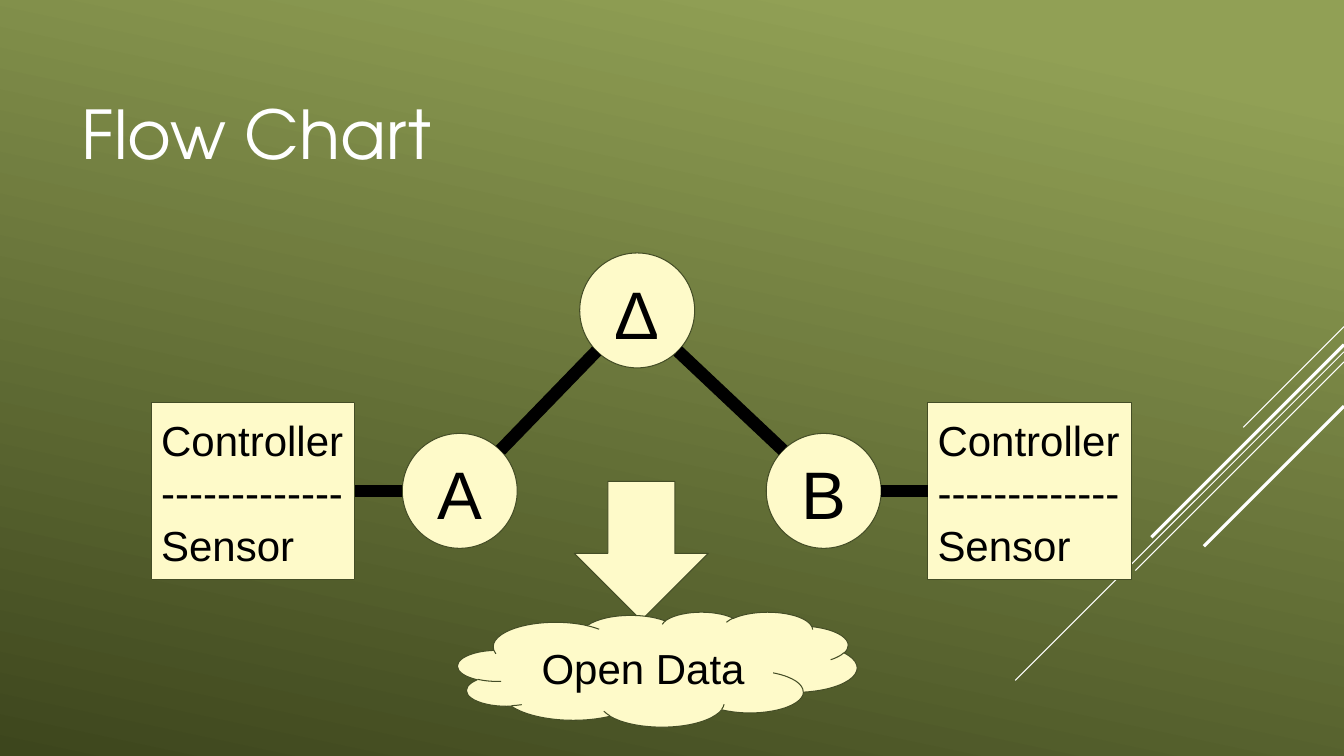
from dataclasses import dataclass
from math import sqrt

from lxml.etree import SubElement
from pptx import Presentation
from pptx.dml.color import RGBColor
from pptx.enum.shapes import MSO_CONNECTOR, MSO_SHAPE
from pptx.enum.text import MSO_ANCHOR, PP_ALIGN
from pptx.oxml.ns import qn
from pptx.util import Pt

PX = 9144  # 100 px to the inch
TOP, LEFT, BOTTOM, RIGHT = range(4)


@dataclass(frozen=True)
class Theme:
    light: str = "91A055"
    dark: str = "3D461D"
    white: str = "FFFFFF"
    black: str = "000000"
    cream: str = "FEFAC9"
    outline: str = "444D26"
    title_font: str = "TeX Gyre Adventor"
    body_font: str = "Arial"
    large: int = 48
    medium: int = 30
    hairline: float = 0.75
    stripe: float = 2.25
    link: float = 9


T = Theme()


def px(*values):
    return [round(v * PX) for v in values]


def rgb(color):
    return RGBColor.from_string(color)


def write(tf, text, size=T.medium, font=T.body_font, color=T.black,
          align=PP_ALIGN.CENTER, spacing=1.05):
    tf.word_wrap = True
    tf.vertical_anchor = MSO_ANCHOR.MIDDLE
    tf.margin_left = tf.margin_right = tf.margin_top = tf.margin_bottom = 10 * PX
    for i, line in enumerate(text.split("\n")):
        p = tf.paragraphs[0] if i == 0 else tf.add_paragraph()
        p.alignment = align
        p.line_spacing = spacing
        r = p.add_run()
        r.text = line
        r.font.size = Pt(size)
        r.font.name = font
        r.font.color.rgb = rgb(color)


def add_line(s, start, end, color, width):
    line = s.shapes.add_connector(MSO_CONNECTOR.STRAIGHT, *px(*start, *end))
    line.line.color.rgb = rgb(color)
    line.line.width = Pt(width)
    SubElement(line._element.spPr, qn("a:effectLst"))
    return line


def add_box(s, kind, box, text="", **fmt):
    sp = s.shapes.add_shape(kind, *px(*box))
    sp.shadow.inherit = False
    sp.fill.solid()
    sp.fill.fore_color.rgb = rgb(T.cream)
    sp.line.color.rgb = rgb(T.outline)
    sp.line.width = Pt(T.hairline)
    if text:
        write(sp.text_frame, text, **fmt)
    return sp


def background(s):
    fill = s.background.fill
    fill.gradient()
    fill.gradient_angle = 258
    for stop, position, color in zip(fill.gradient_stops, (0.1, 1), (T.light, T.dark)):
        stop.position = position
        stop.color.rgb = rgb(color)


def stripes(s, right, top):
    """Draw the 45-degree stripes that run down from the right edge."""
    for drop, length, width in ((0, 100, T.hairline), (25, 326, T.hairline),
                                (35, 207, T.hairline), (18, 191, T.stripe),
                                (79, 139, T.stripe)):
        y = top + drop
        add_line(s, (right, y), (right - length, y + length), T.white, width)


def title(s, box, text):
    sp = s.shapes.title
    sp.left, sp.top, sp.width, sp.height = px(*box)
    write(sp.text_frame, text, size=T.large, font=T.title_font, color=T.white,
          align=PP_ALIGN.LEFT, spacing=1)


def flow_chart(s, x, y, width, height):
    radius = 57
    diagonal = radius / sqrt(2)
    mid_y = y + 236
    hub = (x + 482, y + radius)
    node_a, node_b = (x + 306, mid_y), (x + 667, mid_y)

    for label, (cx, cy) in (("B", node_b), ("A", node_a), ("Δ", hub)):
        add_box(s, MSO_SHAPE.OVAL, (cx - radius, cy - radius, 2 * radius, 2 * radius),
                label, size=T.large)

    station_w, station_h = 202, 176
    for (cx, cy), left, side, sign in ((node_a, x, RIGHT, -1),
                                       (node_b, x + width - station_w, LEFT, 1)):
        station = add_box(s, MSO_SHAPE.RECTANGLE,
                          (left, mid_y - station_h / 2, station_w, station_h),
                          "Controller\n-------------\nSensor", align=PP_ALIGN.LEFT)
        edge = (cx + sign * radius, cy)
        add_line(s, edge, edge, T.black, T.link).end_connect(station, side)
        add_line(s, (hub[0] + sign * diagonal, hub[1] + diagonal),
                 (cx - sign * diagonal, cy - diagonal), T.black, T.link)

    arrow = add_box(s, MSO_SHAPE.RIGHT_ARROW, (x + 417, y + 229, 138, 133))
    arrow.rotation = 90
    cloud_h = 114
    add_box(s, MSO_SHAPE.CLOUD, (x + 304, y + height - cloud_h, 396, cloud_h), "Open Data")


def main():
    prs = Presentation()
    prs.slide_width, prs.slide_height = px(1333, 750)
    s = prs.slides.add_slide(prs.slide_layouts[5])
    background(s)
    stripes(s, 1333, 324)
    title(s, (71, 49, 933, 165), "Flow Chart")
    flow_chart(s, 150, 251, 972, 470)
    prs.save("out.pptx")


if __name__ == "__main__":
    main()
